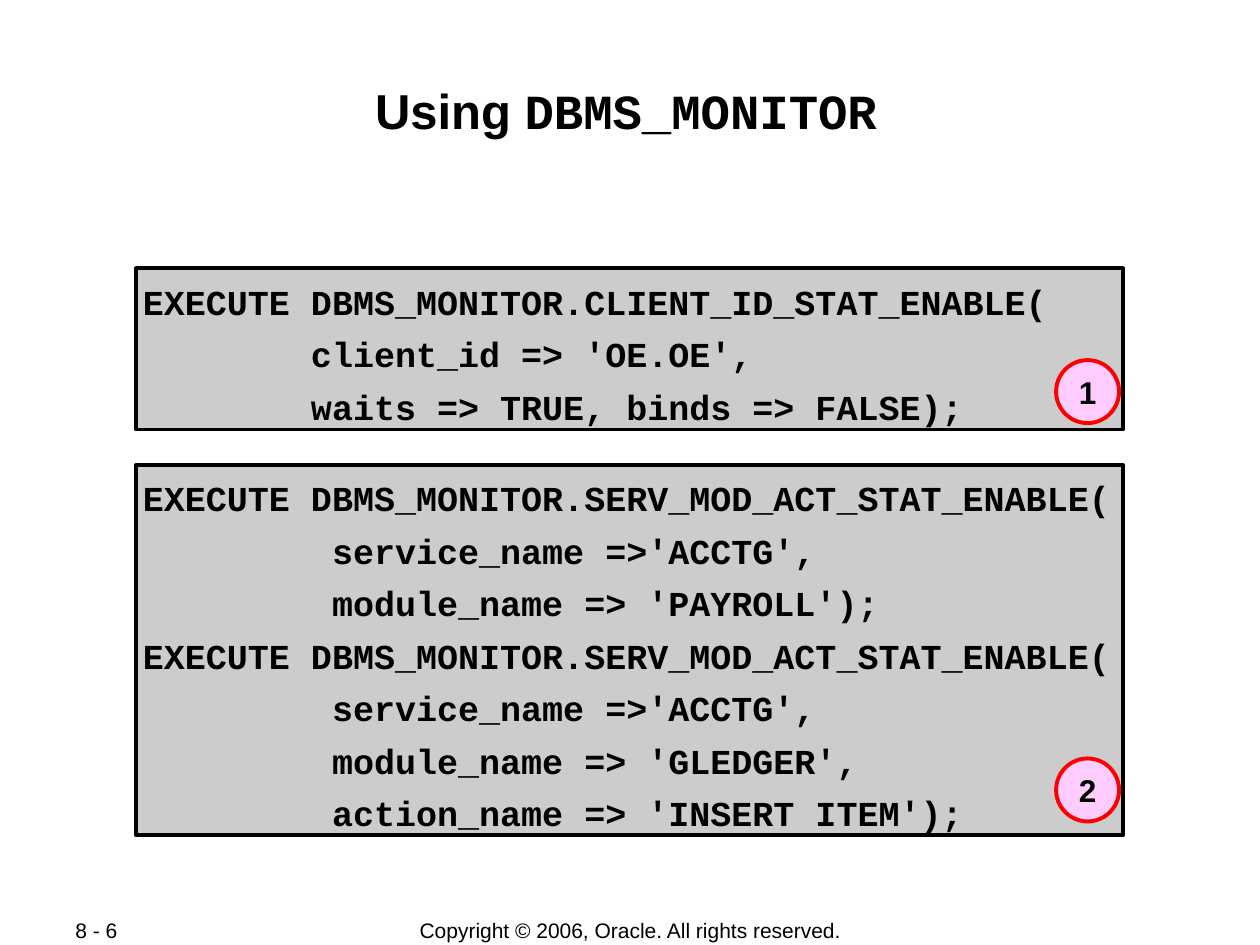
from pptx import Presentation
from pptx.dml.color import RGBColor as Color
from pptx.enum.shapes import MSO_SHAPE as Preset
from pptx.enum.text import MSO_ANCHOR as Anchor, PP_ALIGN as Align
from pptx.util import Cm, Pt

COLORS = {
    "text": "000000",
    "code_fill": "CCCCCC",
    "code_line": "000000",
    "badge_fill": "FFCCFF",
    "badge_line": "FF0000",
}
SANS = "Arial"
MONO = "Courier New"

CLIENT_CODE = [
    ["EXECUTE DBMS_MONITOR.CLIENT_ID_STAT_ENABLE(",
     "        client_id => 'OE.OE',"],
    ["        waits => TRUE, binds => FALSE);"],
]
SERVICE_CODE = [
    ["EXECUTE DBMS_MONITOR.SERV_MOD_ACT_STAT_ENABLE(",
     "         service_name =>'ACCTG',",
     "         module_name => 'PAYROLL');"],
    ["EXECUTE DBMS_MONITOR.SERV_MOD_ACT_STAT_ENABLE(",
     "         service_name =>'ACCTG',"],
    ["         module_name => 'GLEDGER',",
     "         action_name => 'INSERT ITEM');"],
]


class SlideBuilder:
    def __init__(self, slide):
        self.slide = slide

    def prepare_frame(self, shape, anchor, margins):
        frame = shape.text_frame
        frame.word_wrap = True
        frame.vertical_anchor = anchor
        left, top, right, bottom = margins
        frame.margin_left, frame.margin_top = Cm(left), Cm(top)
        frame.margin_right, frame.margin_bottom = Cm(right), Cm(bottom)
        return frame

    def add_run(self, paragraph, text, size, font=SANS, bold=False):
        run = paragraph.add_run()
        run.text = text
        run.font.name = font
        run.font.size = Pt(size)
        run.font.bold = bold
        run.font.color.rgb = Color.from_string(COLORS["text"])

    def add_panel(self, preset, box, style):
        shape = self.slide.shapes.add_shape(preset, *map(Cm, box))
        shape.shadow.inherit = False
        shape.fill.solid()
        shape.fill.fore_color.rgb = Color.from_string(COLORS[f"{style}_fill"])
        shape.line.color.rgb = Color.from_string(COLORS[f"{style}_line"])
        shape.line.width = Pt(2.25)
        return shape

    def add_title(self, box, parts):
        shape = self.slide.shapes.add_textbox(*map(Cm, box))
        frame = self.prepare_frame(shape, Anchor.TOP, [0.03] * 4)
        paragraph = frame.paragraphs[0]
        paragraph.alignment = Align.CENTER
        for text, font in parts:
            self.add_run(paragraph, text, 28, font, True)

    def add_footer(self, box, text, alignment):
        shape = self.slide.shapes.add_textbox(*map(Cm, box))
        frame = self.prepare_frame(shape, Anchor.MIDDLE, (0.25, 0.13, 0.25, 0.13))
        paragraph = frame.paragraphs[0]
        paragraph.alignment = alignment
        self.add_run(paragraph, text, 12)

    def add_code(self, top, height, blocks):
        shape = self.add_panel(Preset.RECTANGLE, (2.75, top, 19.89, height), "code")
        frame = self.prepare_frame(shape, Anchor.TOP, (0.13, 0.03, 0.03, 0.03))
        for block_index, lines in enumerate(blocks):
            paragraph = frame.add_paragraph() if block_index else frame.paragraphs[0]
            paragraph.alignment = Align.LEFT
            paragraph.line_spacing = 1.25
            for line_index, line in enumerate(lines):
                if line_index:
                    paragraph.add_line_break()
                self.add_run(paragraph, line, 20, MONO, True)

    def add_badge(self, top, number):
        shape = self.add_panel(Preset.OVAL, (21.29, top, 1.27, 1.27), "badge")
        frame = self.prepare_frame(shape, Anchor.MIDDLE, [0] * 4)
        paragraph = frame.paragraphs[0]
        paragraph.alignment = Align.CENTER
        self.add_run(paragraph, str(number), 18, bold=True)


def main():
    presentation = Presentation()
    presentation.slide_width, presentation.slide_height = Cm(25.4), Cm(19.05)
    slide = presentation.slides.add_slide(presentation.slide_layouts[6])
    builder = SlideBuilder(slide)
    builder.add_footer((1.27, 18.49, 2.69, 0.51), "8 - 6", Align.LEFT)
    builder.add_footer((7.01, 18.49, 11.4, 0.53),
                       "Copyright © 2006, Oracle. All rights reserved.", Align.CENTER)
    builder.add_title((2.46, 1.6, 20.32, 2.44),
                      [("Using ", SANS), ("DBMS_MONITOR", MONO)])
    builder.add_code(5.41, 3.25, CLIENT_CODE)
    builder.add_code(9.37, 7.47, SERVICE_CODE)
    for number, top in enumerate((7.26, 15.29), start=1):
        builder.add_badge(top, number)
    presentation.save("out.pptx")


if __name__ == "__main__":
    main()
